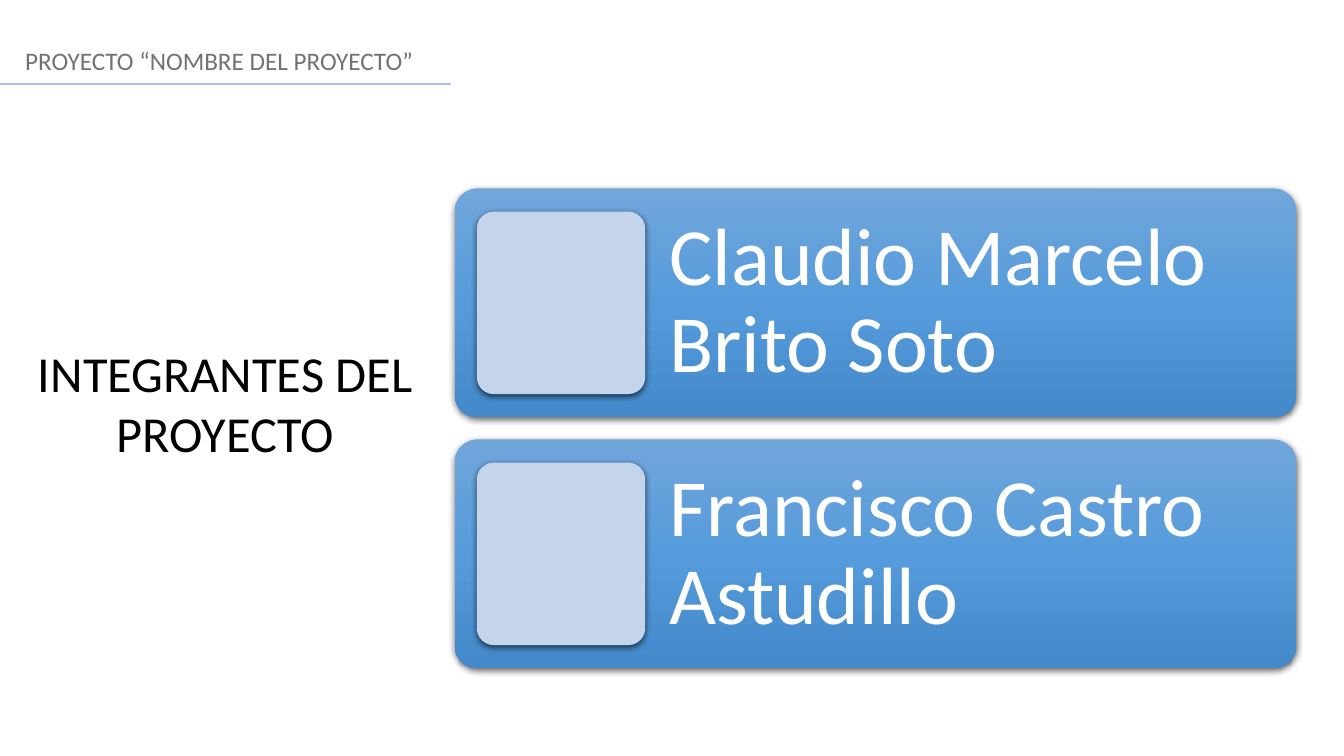
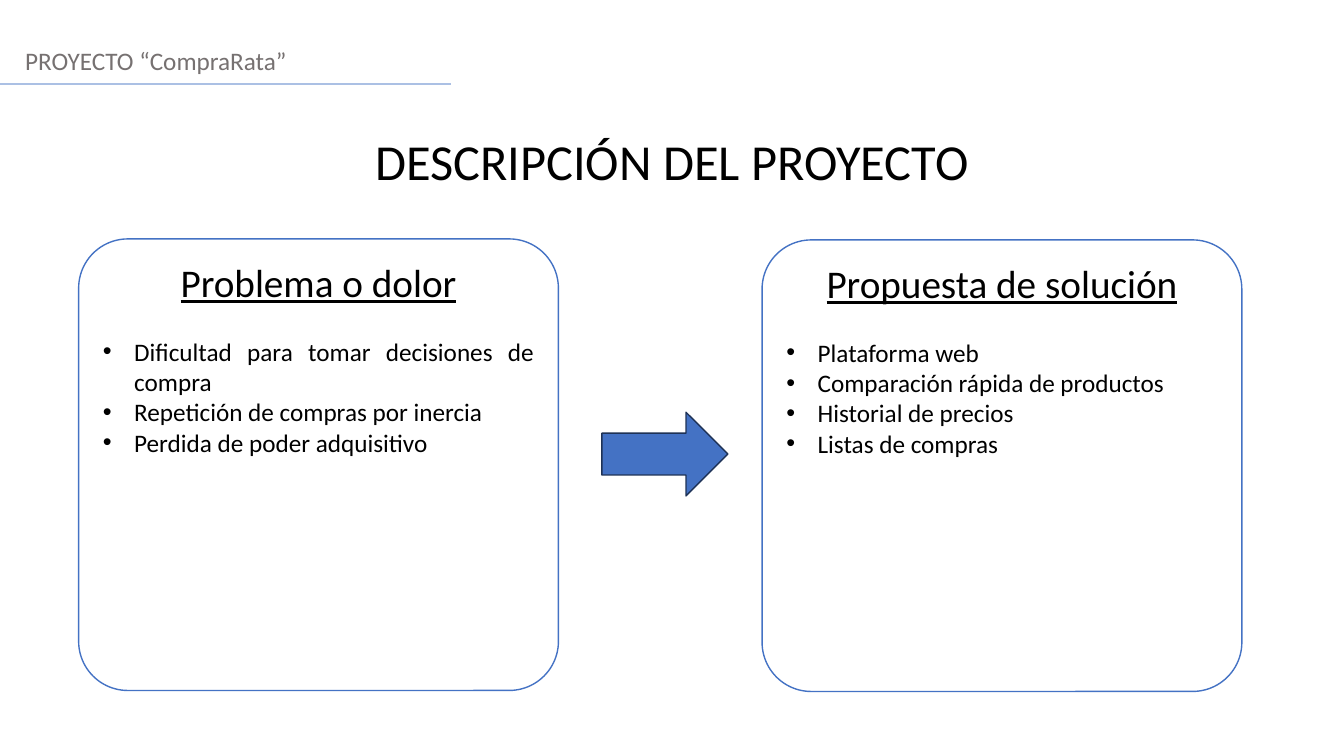
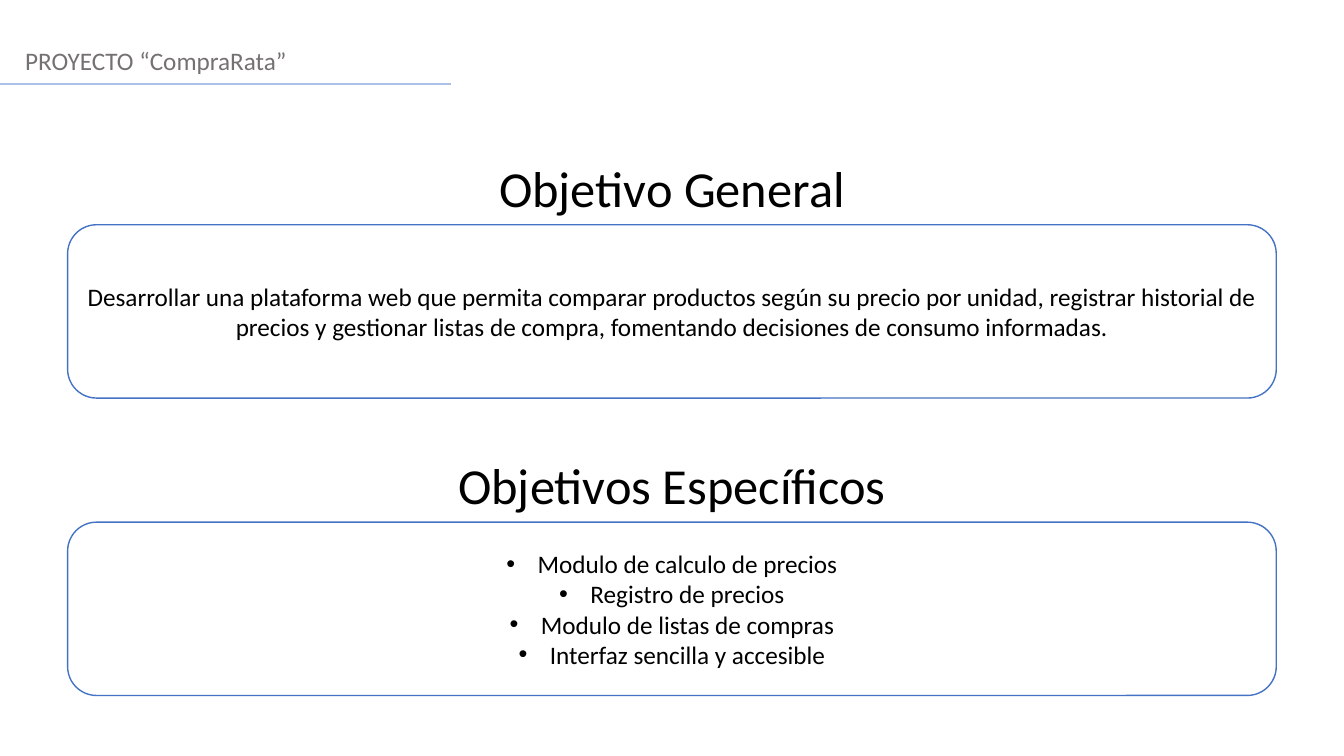
import copy

import lxml.etree
import pptx
import pptx.dml.color
import pptx.enum.dml
import pptx.enum.shapes
import pptx.enum.text
import pptx.oxml.ns
import pptx.util

Pt, Inches = pptx.util.Pt, pptx.util.Inches
RGB = pptx.dml.color.RGBColor.from_string
SHAPE = pptx.enum.shapes.MSO_SHAPE
ALIGN = pptx.enum.text.PP_ALIGN
ANCHOR = pptx.enum.text.MSO_ANCHOR
qn = pptx.oxml.ns.qn

# Theme: colours, type and paragraph styles
BODY = dict(size=18, color="000000", align=ALIGN.CENTER)
BULLET = dict(BODY, bullet="•")
POINT = dict(BULLET, align=ALIGN.JUSTIFY)
THEME = dict(
    font="Calibri", accent="4472C4", arrow_line="1E3256", panel="FFFFFF",
    rule="ABC0E4", tile="C4D5EB", shadow="000000",
    gradient=[(0, "71A6DB"), (0.5, "559BDB"), (1, "448ACA")],
    styles=dict(
        header=dict(size=18, color="767171", align=ALIGN.LEFT),
        title=dict(size=36, color="000000", align=ALIGN.CENTER),
        name=dict(size=58, color="FFFFFF", align=ALIGN.LEFT, line_spacing=0.9),
        heading=dict(size=28, color="000000", align=ALIGN.CENTER, underline=True),
        body=BODY,
        bullet=BULLET,
        point=POINT,
        first_point=dict(POINT, space_before=Pt(22)),
    ),
)

prs = pptx.Presentation()
prs.slide_width, prs.slide_height = Inches(13.33), Inches(7.5)


def place(left, top, width, height):
    """Turn percentages of the slide into lengths."""
    w, h = prs.slide_width / 100, prs.slide_height / 100
    return [round(v) for v in (left * w, top * h, width * w, height * h)]


def write(sp, lines, anchor=ANCHOR.TOP, **margins):
    """Fill a shape with (style, text) paragraphs."""
    tf = sp.text_frame
    settings = dict(word_wrap=True, vertical_anchor=anchor,
                    auto_size=pptx.enum.text.MSO_AUTO_SIZE.NONE, **margins)
    for key, value in settings.items():
        setattr(tf, key, value)
    for i, (style, text) in enumerate(lines):
        fmt = THEME["styles"][style]
        p = tf.add_paragraph() if i else tf.paragraphs[0]
        if "bullet" in fmt:
            pPr = p._p.get_or_add_pPr()
            pPr.set("marL", str(Inches(0.31)))
            pPr.set("indent", str(-Inches(0.31)))
            lxml.etree.SubElement(pPr, qn("a:buFont")).set("typeface", "Arial")
            lxml.etree.SubElement(pPr, qn("a:buChar")).set("char", fmt["bullet"])
        p.alignment = fmt["align"]
        for key in ("line_spacing", "space_before"):
            if key in fmt:
                setattr(p, key, fmt[key])
        r = p.add_run()
        r.text = text
        font = dict(name=THEME["font"], size=Pt(fmt["size"]), bold=False,
                    underline=fmt.get("underline", False))
        for key, value in font.items():
            setattr(r.font, key, value)
        r.font.color.rgb = RGB(fmt["color"])


# Shared parts: header, rule and title
slides = []
for header, title, frame in [
    ("PROYECTO “NOMBRE DEL PROYECTO”", "INTEGRANTES DEL PROYECTO", (1.95, 44.53, 29.63, 17.47)),
    ("PROYECTO “CompraRata”", "DESCRIPCIÓN DEL PROYECTO", (0, 16.53, 100, 9.47)),
    ("PROYECTO “CompraRata”", "Objetivo General", (0, 20.13, 100, 9.47)),
]:
    s = prs.slides.add_slide(prs.slide_layouts[5])
    slides.append(s)
    sp = s.shapes.title
    sp.left, sp.top, sp.width, sp.height = place(*frame)
    write(sp, [("title", title)])
    write(s.shapes.add_textbox(*place(1.13, 5.33, 98.87, 5.33)), [("header", header)])
    x, y, width, _ = place(0, 11.07, 33.53, 0)
    rule = s.shapes.add_connector(pptx.enum.shapes.MSO_CONNECTOR.STRAIGHT, x, y, x + width, y)
    rule.line.color.rgb = RGB(THEME["rule"])
    rule.line.width = Pt(1.25)
    lxml.etree.SubElement(rule._element.spPr, qn("a:effectLst"))
team, description, goals = slides

# Slide 1: one gradient card per member
for i, name in enumerate(["Claudio Marcelo Brito Soto", "Francisco Castro Astudillo"]):
    top = 24.93 + i * 33.2
    card = team.shapes.add_shape(SHAPE.ROUNDED_RECTANGLE, *place(33.83, top, 62.63, 30.27))
    tile = team.shapes.add_shape(SHAPE.ROUNDED_RECTANGLE, *place(35.48, top + 3.07, 12.53, 24.13))
    card.fill.gradient()
    card.fill.gradient_angle = 270
    gs = card._element.spPr.find(".//" + qn("a:gs"))
    gs.addnext(copy.deepcopy(gs))
    for stop, (position, color) in zip(card.fill.gradient_stops, THEME["gradient"]):
        stop.position = position
        stop.color.rgb = RGB(color)
    tile.fill.solid()
    tile.fill.fore_color.rgb = RGB(THEME["tile"])
    for sp in (card, tile):
        sp.adjustments[0] = 0.1
        sp.line.fill.background()
        sp.shadow.inherit = False
        effects = sp._element.spPr.find(qn("a:effectLst"))
        shadow = lxml.etree.SubElement(effects, qn("a:outerShdw"), blurRad=str(Pt(4.5)),
                                       dist=str(Pt(1.5)), dir="5400000", rotWithShape="0")
        color = lxml.etree.SubElement(shadow, qn("a:srgbClr"), val=THEME["shadow"])
        lxml.etree.SubElement(color, qn("a:alpha"), val="63000")
    margins = {f"margin_{side}": Inches(0.24) for side in ("left", "top", "right", "bottom")}
    write(team.shapes.add_textbox(*place(48, top, 48.38, 30.27)), [("name", name)],
          ANCHOR.MIDDLE, **margins)

# Slide 2: arrow from problem to solution
arrow = description.shapes.add_shape(SHAPE.RIGHT_ARROW, *place(44.78, 54.53, 9.38, 11.07))
arrow.shadow.inherit = False
arrow.fill.solid()
arrow.fill.fore_color.rgb = RGB(THEME["accent"])
arrow.line.color.rgb = RGB(THEME["arrow_line"])
arrow.line.width = Pt(1)

# Slide 3: second title
write(goals.shapes.add_textbox(*place(0, 59.47, 100, 9.47)), [("title", "Objetivos Específicos")])

# Slides 2 and 3: outlined panels
for s, frame, corner, anchor, lines in [
    (description, (5.85, 31.6, 35.7, 59.73), 0.109, ANCHOR.TOP, [
        ("heading", "Problema o dolor"),
        ("first_point", "Dificultad para tomar decisiones de compra"),
        ("point", "Repetición de compras por inercia"),
        ("point", "Perdida de poder adquisitivo"),
    ]),
    (description, (56.7, 31.73, 35.7, 59.73), 0.109, ANCHOR.TOP, [
        ("heading", "Propuesta de solución"),
        ("first_point", "Plataforma web"),
        ("point", "Comparación rápida de productos"),
        ("point", "Historial de precios"),
        ("point", "Listas de compras"),
    ]),
    (goals, (5.03, 29.73, 89.93, 22.93), 0.167, ANCHOR.MIDDLE, [
        ("body", "Desarrollar una plataforma web que permita comparar productos según su "
                 "precio por unidad, registrar historial de precios y gestionar listas de "
                 "compra, fomentando decisiones de consumo informadas."),
    ]),
    (goals, (5.03, 69.07, 89.93, 22.93), 0.167, ANCHOR.MIDDLE, [
        ("bullet", "Modulo de calculo de precios"),
        ("bullet", "Registro de precios"),
        ("bullet", "Modulo de listas de compras"),
        ("bullet", "Interfaz sencilla y accesible"),
    ]),
]:
    sp = s.shapes.add_shape(SHAPE.ROUNDED_RECTANGLE, *place(*frame))
    sp.adjustments[0] = corner
    sp.shadow.inherit = False
    sp.fill.solid()
    sp.fill.fore_color.rgb = RGB(THEME["panel"])
    sp.line.color.rgb = RGB(THEME["accent"])
    sp.line.width = Pt(1)
    write(sp, lines, anchor)

prs.save("out.pptx")
